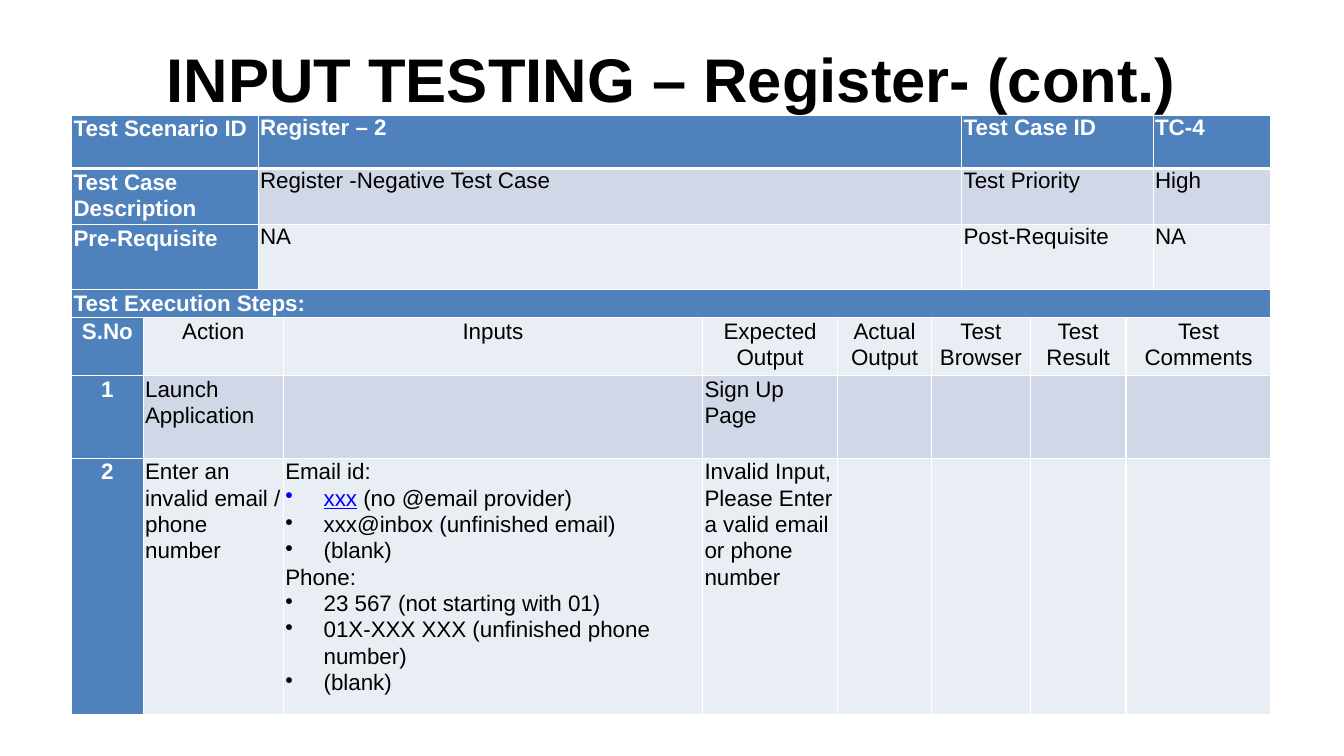
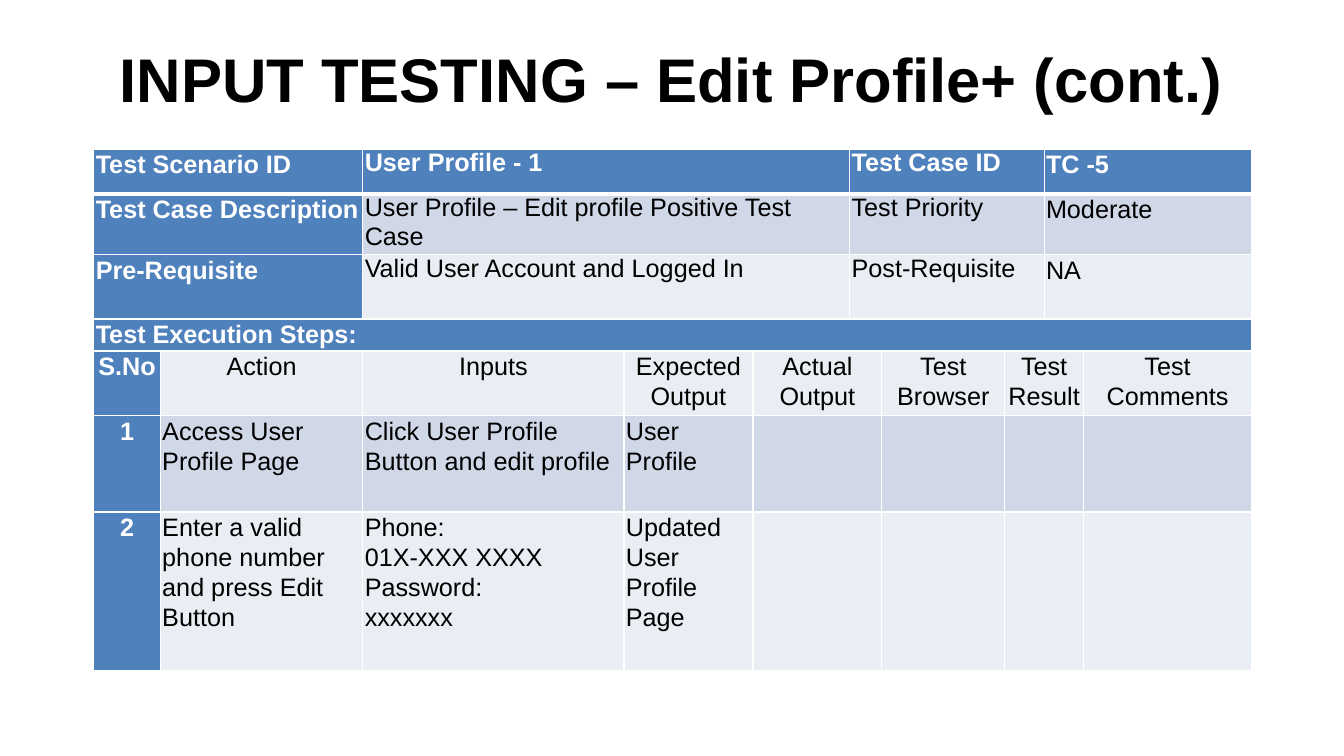
"""Build two test case slides, each with a title and a test case table."""
from dataclasses import dataclass

from lxml.etree import SubElement
from pptx import Presentation
from pptx.dml.color import RGBColor
from pptx.enum.text import PP_ALIGN
from pptx.oxml.ns import qn
from pptx.util import Pt

FONT = "Arial"
WHITE, BLACK, LINK = "FFFFFF", "000000", "0000FF"
HEADER, DARK_BAND, LIGHT_BAND = "4F81BD", "D0D8E8", "E9EDF4"
SLIDE_W, SLIDE_H = 960, 540
HEADER_ROWS, DARK_ROWS = (0, 3), (1, 5)
HEADING_ROW = 4
CELL_INSET, BULLET_INDENT, LOOSE = 1.4, 27.4, 1.06
STEP_HEADINGS = ("S.No", "Action", "Inputs", "Expected Output", "Actual Output",
                 "Test Browser", "Test Result", "Test Comments")


@dataclass(frozen=True)
class Line:
    text: str
    bullet: bool = False
    link: str = ""


@dataclass(frozen=True)
class TestCase:
    title: str
    left: float
    top: float
    size: float
    widths: tuple
    heights: tuple
    info_spans: tuple
    step_spans: tuple
    tight_fields: tuple
    scenario: str
    case_id: str
    description: str
    priority: str
    pre: str
    post: str
    steps: tuple

    def rows(self) -> list:
        return [
            ("Test Scenario ID", self.scenario, "Test Case ID", self.case_id),
            ("Test Case Description", self.description, "Test Priority", self.priority),
            ("Pre-Requisite", self.pre, "Post-Requisite", self.post),
            ("Test Execution Steps:",),
            STEP_HEADINGS,
            *((str(n), *step, "", "", "", "") for n, step in enumerate(self.steps, 1)),
        ]

    def spans(self, row: int) -> tuple:
        if row == 3:
            return (len(self.widths),)
        return self.info_spans if row < 3 else self.step_spans


CASES = (
    TestCase(
        title="INPUT TESTING – Register- (cont.)",
        left=51.2, top=82.2, size=16,
        widths=(51.1, 82.1, 18, 299.5, 96.5, 67, 21.6, 49, 68.4, 19.4, 84.2),
        heights=(38.2, 40, 46.4, 20, 41.6, 59, 183),
        info_spans=(2, 5, 3, 1), step_spans=(1, 2, 1, 1, 1, 2, 1, 2),
        tight_fields=(1, 2, 3),
        scenario="Register – 2", case_id="TC-4",
        description="Register -Negative Test Case", priority="High",
        pre="NA", post="NA",
        steps=(
            ("Launch Application", "", "Sign Up Page"),
            ("Enter an invalid email / phone number",
             (Line("Email id:"),
              Line(" (no @email provider)", True, "xxx"),
              Line("xxx@inbox (unfinished email)", True),
              Line("(blank)", True),
              Line("Phone:"),
              Line("23 567 (not starting with 01)", True),
              Line("01X-XXX XXX (unfinished phone number)", True),
              Line("(blank)", True)),
             "Invalid Input, Please Enter a valid email or phone number"),
        ),
    ),
    TestCase(
        title="INPUT TESTING – Edit Profile+ (cont.)",
        left=67, top=106.4, size=18,
        widths=(47.5, 144.7, 186.5, 92.2, 69.1, 23, 87.8, 28.1, 28.1, 120.2),
        heights=(32.2, 43.2, 46, 22.5, 46.4, 68.6, 113.5),
        info_spans=(2, 3, 3, 2), step_spans=(1, 1, 1, 1, 2, 1, 2, 1),
        tight_fields=(1, 2),
        scenario="User Profile - 1", case_id="TC -5",
        description="User Profile – Edit profile Positive Test Case", priority="Moderate",
        pre="Valid User Account and Logged In", post="NA",
        steps=(
            ("Access User Profile Page", "Click User Profile Button and edit profile",
             "User Profile"),
            ("Enter a valid phone number and press Edit Button",
             (Line("Phone:"), Line("01X-XXX XXXX"), Line("Password:"), Line("xxxxxxx")),
             "Updated User Profile Page"),
        ),
    ),
)


def rgb(color: str) -> RGBColor:
    return RGBColor.from_string(color)


def set_font(font, size: float, color: str, bold: bool) -> None:
    font.name, font.size, font.bold = FONT, Pt(size), bold
    font.color.rgb = rgb(color)


def style_cell(cell, row: int, fill: str) -> None:
    cell.margin_left = cell.margin_right = Pt(CELL_INSET)
    cell.margin_top = cell.margin_bottom = Pt(0)
    tcPr = cell._tc.get_or_add_tcPr()
    for side in ("lnL", "lnR", "lnT", "lnB"):
        heavy = (row, side) in ((0, "lnB"), (1, "lnT"))
        ln = SubElement(tcPr, qn(f"a:{side}"), w=str(Pt(3 if heavy else 1)))
        SubElement(SubElement(ln, qn("a:solidFill")), qn("a:srgbClr"), val=WHITE)
    cell.fill.solid()
    cell.fill.fore_color.rgb = rgb(fill)


def write_lines(tf, lines: tuple, size: float, color: str, bold: bool,
                align: PP_ALIGN, spacing: float) -> None:
    for i, line in enumerate(lines):
        p = tf.add_paragraph() if i else tf.paragraphs[0]
        p.alignment, p.line_spacing = align, spacing
        set_font(p.font, size, color, bold)
        if line.bullet:
            pPr = p._p.get_or_add_pPr()
            pPr.set("marL", str(Pt(BULLET_INDENT)))
            pPr.set("indent", str(-Pt(BULLET_INDENT)))
            bullet = pPr.makeelement(qn("a:buChar"), {"char": "•"})
            pPr.find(qn("a:defRPr")).addprevious(bullet)
        if line.link:
            r = p.add_run()
            r.text, r.font.underline = line.link, True
            r.font.color.rgb = rgb(LINK)
        if line.text:
            p.add_run().text = line.text


def add_title(slide, text: str) -> None:
    tf = slide.shapes.add_textbox(Pt(0), Pt(21), Pt(SLIDE_W), Pt(49)).text_frame
    tf.word_wrap = True
    tf.margin_top, tf.margin_bottom = Pt(8), Pt(0)
    write_lines(tf, (Line(text),), 44, BLACK, True, PP_ALIGN.CENTER, 1.0)


def add_case_table(slide, case: TestCase) -> None:
    table = slide.shapes.add_table(
        len(case.heights), len(case.widths), Pt(case.left), Pt(case.top),
        Pt(sum(case.widths)), Pt(sum(case.heights))).table
    table.first_row = table.horz_banding = False
    for column, width in zip(table.columns, case.widths):
        column.width = Pt(width)
    for row, height in zip(table.rows, case.heights):
        row.height = Pt(height)
    for row, contents in enumerate(case.rows()):
        band = DARK_BAND if row in DARK_ROWS else LIGHT_BAND
        col = 0
        for field, (content, span) in enumerate(zip(contents, case.spans(row))):
            header = row in HEADER_ROWS or field == 0
            centred = row == HEADING_ROW or (row > HEADING_ROW and field == 0)
            tight = row < 3 and field in case.tight_fields
            for c in range(col, col + span):
                style_cell(table.cell(row, c), row, HEADER if header else band)
            cell = table.cell(row, col)
            if span > 1:
                cell.merge(table.cell(row, col + span - 1))
            lines = (Line(content),) if isinstance(content, str) else content
            write_lines(cell.text_frame, lines, case.size,
                        WHITE if header else BLACK, header,
                        PP_ALIGN.CENTER if centred else PP_ALIGN.LEFT,
                        1.0 if tight else LOOSE)
            col += span


def main() -> None:
    prs = Presentation()
    prs.slide_width, prs.slide_height = Pt(SLIDE_W), Pt(SLIDE_H)
    for case in CASES:
        slide = prs.slides.add_slide(prs.slide_layouts[6])
        add_case_table(slide, case)
        add_title(slide, case.title)
    prs.save("out.pptx")


if __name__ == "__main__":
    main()
